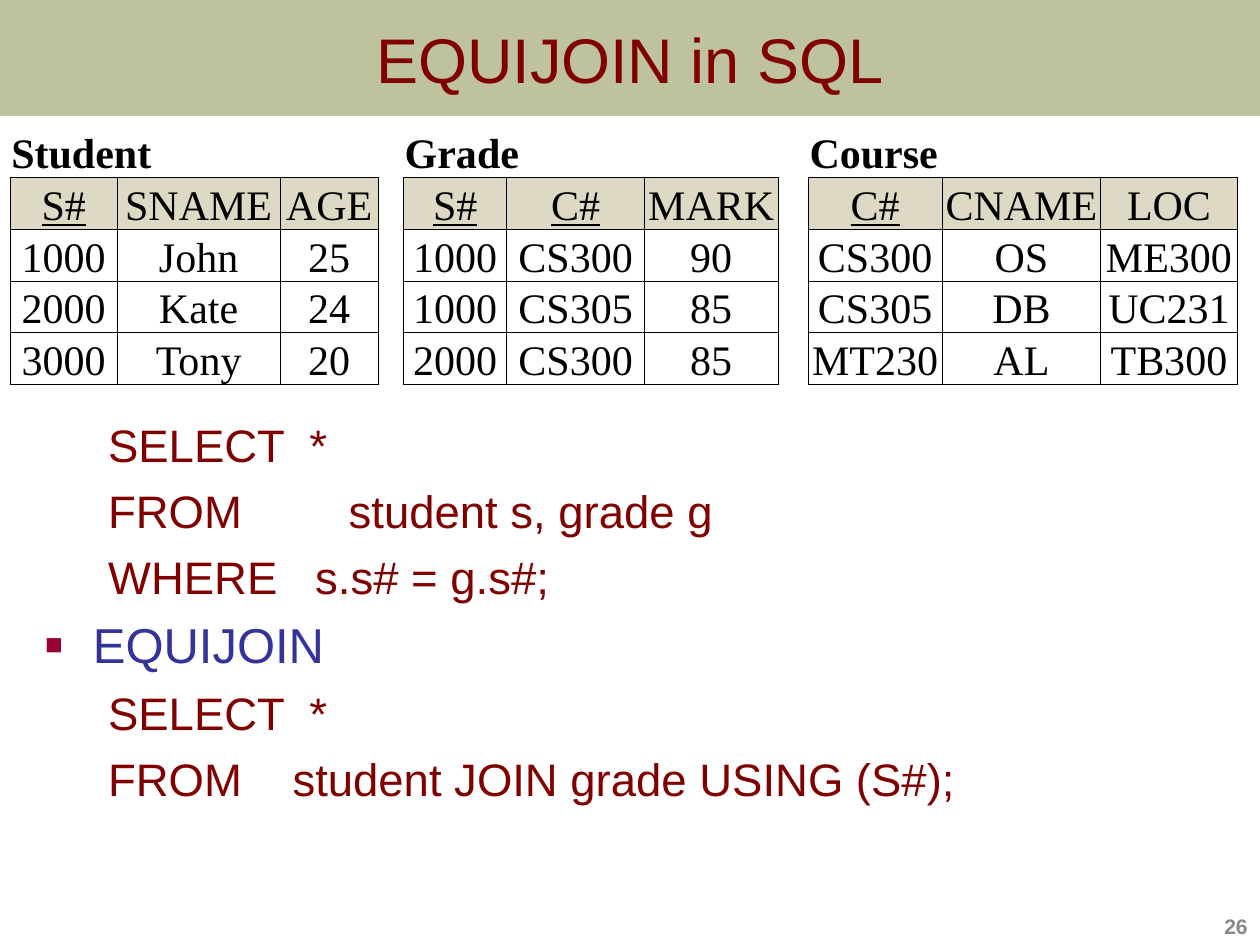
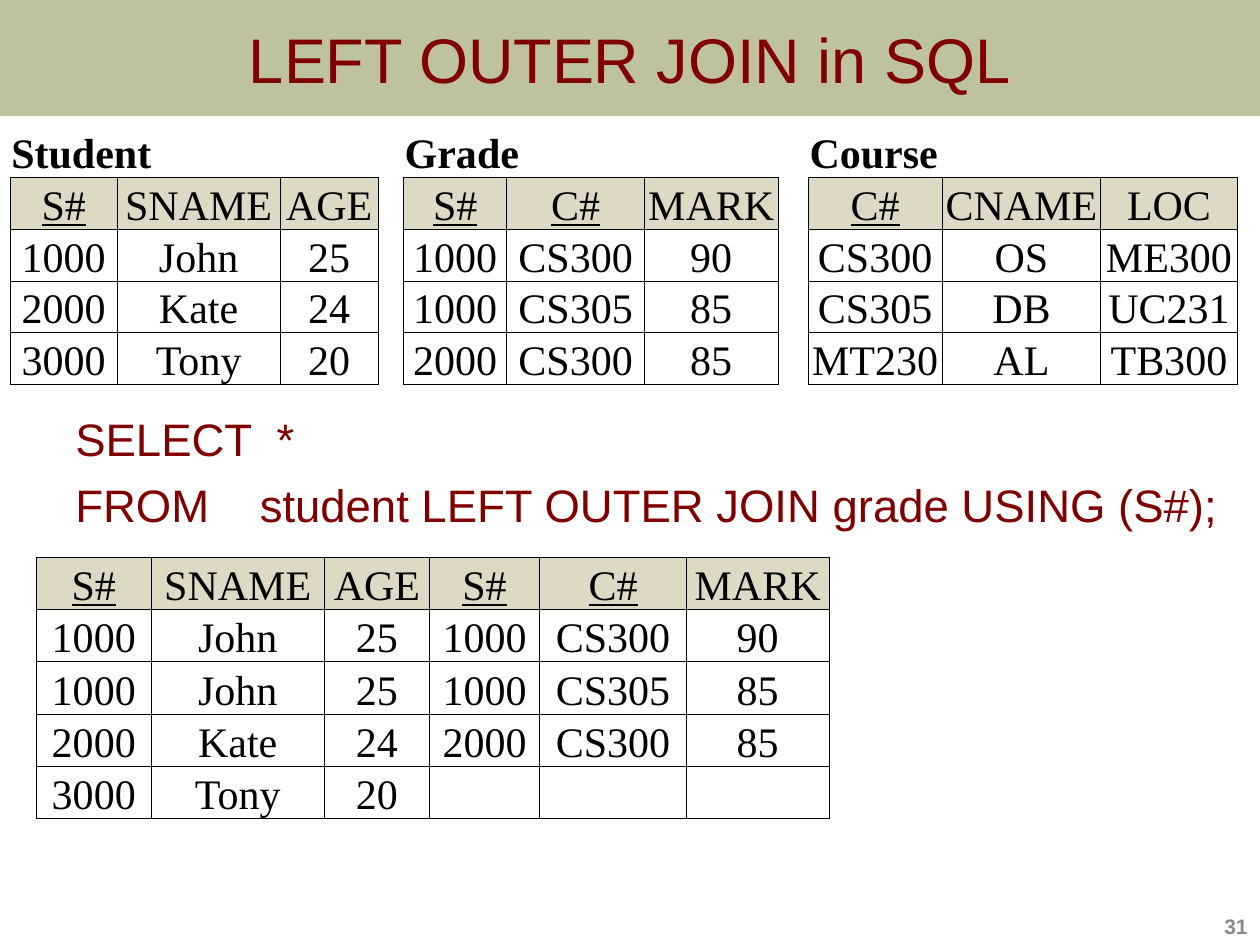
import dataclasses

import lxml.etree
import pptx
import pptx.dml.color
import pptx.enum.shapes
import pptx.enum.text
import pptx.oxml.ns
import pptx.util

ALIGN = pptx.enum.text.PP_ALIGN
ANCHOR = pptx.enum.text.MSO_ANCHOR
GRID_COLUMNS, GRID_ROWS = 100, 75
SLIDE_WIDTH, SLIDE_HEIGHT = pptx.util.Inches(10), pptx.util.Inches(7.5)


@dataclasses.dataclass(frozen=True)
class Theme:
    band: str = "6E7524"
    band_opacity: int = 44
    code: str = "800000"
    term: str = "333399"
    bullet: str = "990033"
    page: str = "898989"
    ink: str = "000000"
    header: str = "DDD9C4"
    paper: str = "FFFFFF"
    sans: str = "Arial"
    serif: str = "Times New Roman"
    title_size: int = 36
    term_size: int = 28
    code_size: int = 26
    table_size: int = 24
    page_size: int = 12
    paragraph_gap: float = 6.5
    border: float = 0.5


@dataclasses.dataclass(frozen=True)
class Box:
    left: float
    top: float
    width: float
    height: float

    def inside(self, left, top, width, height):
        return Box(self.left + left, self.top + top, width, height)

    def lengths(self):
        return across(self.left), down(self.top), across(self.width), down(self.height)


@dataclasses.dataclass(frozen=True)
class Relation:
    name: str
    widths: tuple
    rows: tuple


THEME = Theme()
PAGE = Box(0, 0, GRID_COLUMNS, GRID_ROWS)
STUDENT = Relation("Student", (8.5, 12.9, 7.8), (
    ("S#", "SNAME", "AGE"),
    ("1000", "John", "25"),
    ("2000", "Kate", "24"),
    ("3000", "Tony", "20"),
))
GRADE = Relation("Grade", (8.2, 10.9, 10.6), (
    ("S#", "C#", "MARK"),
    ("1000", "CS300", "90"),
    ("1000", "CS305", "85"),
    ("2000", "CS300", "85"),
))
COURSE = Relation("Course", (10.6, 12.6, 10.8), (
    ("C#", "CNAME", "LOC"),
    ("CS300", "OS", "ME300"),
    ("CS305", "DB", "UC231"),
    ("MT230", "AL", "TB300"),
))
GUTTERS = (2, 2.4)
EQUIJOIN_LINES = (
    "SELECT  *",
    "FROM    \t student s, grade g",
    "WHERE   s.s# = g.s#;",
    "EQUIJOIN",
    "SELECT  *",
    "FROM    student JOIN grade USING (S#);",
)
OUTER_JOIN_LINES = (
    "SELECT  *",
    "FROM    student LEFT OUTER JOIN grade USING (S#);",
)


def across(columns):
    return round(SLIDE_WIDTH * columns / GRID_COLUMNS)


def down(rows):
    return round(SLIDE_HEIGHT * rows / GRID_ROWS)


def color(value):
    return pptx.dml.color.RGBColor.from_string(value)


def add_element(parent, tag, **attributes):
    return lxml.etree.SubElement(parent, pptx.oxml.ns.qn(tag), attributes)


def write_text(paragraph, text, *, size, ink, font=THEME.sans, align=ALIGN.LEFT,
               bold=False, underline=False, space_before=0):
    paragraph.alignment = align
    paragraph.space_before = pptx.util.Pt(space_before)
    if text:
        run = paragraph.add_run()
        run.text = text
        run.font.name = font
        run.font.size = pptx.util.Pt(size)
        run.font.bold = bold
        run.font.underline = underline
        run.font.color.rgb = color(ink)


def add_text_box(slide, box, anchor):
    frame = slide.shapes.add_textbox(*box.lengths()).text_frame
    frame.word_wrap = True
    frame.vertical_anchor = anchor
    return frame


def add_title_band(slide, box, title):
    band = slide.shapes.add_shape(pptx.enum.shapes.MSO_SHAPE.RECTANGLE, *box.lengths())
    band.shadow.inherit = False
    band.line.fill.background()
    band.fill.solid()
    band.fill.fore_color.rgb = color(THEME.band)
    fill_color = band.fill._xPr.find(".//" + pptx.oxml.ns.qn("a:srgbClr"))
    add_element(fill_color, "a:alpha", val=str(THEME.band_opacity * 1000))
    band.text_frame.vertical_anchor = ANCHOR.MIDDLE
    write_text(band.text_frame.paragraphs[0], title, size=THEME.title_size,
               ink=THEME.code, align=ALIGN.CENTER)


def add_page_number(slide, box, number):
    frame = add_text_box(slide, box, ANCHOR.BOTTOM)
    write_text(frame.paragraphs[0], str(number), size=THEME.page_size,
               ink=THEME.page, align=ALIGN.RIGHT, bold=True)


def set_indent(paragraph, margin, hanging):
    properties = paragraph._p.get_or_add_pPr()
    properties.set("marL", str(across(margin)))
    properties.set("indent", str(-across(hanging)))
    return properties


def add_query(slide, box, lines):
    frame = add_text_box(slide, box, ANCHOR.TOP)
    frame.margin_right = 0
    frame.margin_top = down(0.9)
    for index, line in enumerate(lines):
        paragraph = frame.paragraphs[0] if index == 0 else frame.add_paragraph()
        is_term = line == "EQUIJOIN"
        write_text(paragraph, line,
                   size=THEME.term_size if is_term else THEME.code_size,
                   ink=THEME.term if is_term else THEME.code,
                   space_before=THEME.paragraph_gap if index else 0)
        if is_term:
            properties = set_indent(paragraph, 3.8, 3.8)
            bullet_color = add_element(properties, "a:buClr")
            add_element(bullet_color, "a:srgbClr", val=THEME.bullet)
            add_element(properties, "a:buSzPct", val="60000")
            add_element(properties, "a:buFont", typeface=THEME.sans)
            add_element(properties, "a:buChar", char="■")
        else:
            add_element(set_indent(paragraph, 8.1, 3.1), "a:buNone")


def style_cell(cell, sides="LRTB", fill=THEME.paper):
    properties = cell._tc.get_or_add_tcPr()
    for side in "LRTB":
        line = add_element(properties, "a:ln" + side,
                           w=str(pptx.util.Pt(THEME.border)))
        if side in sides:
            line_fill = add_element(line, "a:solidFill")
            add_element(line_fill, "a:srgbClr", val=THEME.ink)
        else:
            add_element(line, "a:noFill")
    cell.fill.solid()
    cell.fill.fore_color.rgb = color(fill)
    cell.vertical_anchor = ANCHOR.BOTTOM
    cell.margin_left = cell.margin_right = across(0.1)
    cell.margin_top, cell.margin_bottom = down(0.1), 0


def add_grid(slide, box, widths, row_count):
    table = slide.shapes.add_table(row_count, len(widths), *box.lengths()).table
    table.first_row = table.horz_banding = False
    for column, width in zip(table.columns, widths):
        column.width = across(box.width * width / sum(widths))
    for row in table.rows:
        row.height = down(box.height / row_count)
    return table


def fill_relation(table, top, left, rows):
    for row_index, row in enumerate(rows):
        for column_index, text in enumerate(row):
            is_header = row_index == 0
            cell = table.cell(top + row_index, left + column_index)
            style_cell(cell, fill=THEME.header if is_header else THEME.paper)
            write_text(cell.text_frame.paragraphs[0], text, size=THEME.table_size,
                       ink=THEME.ink, font=THEME.serif, align=ALIGN.CENTER,
                       underline=is_header and text.endswith("#"))


def add_schema(slide, box):
    relations = (STUDENT, GRADE, COURSE)
    widths = list(STUDENT.widths)
    for gutter, relation in zip(GUTTERS, relations[1:]):
        widths += [gutter, *relation.widths]
    row_count = len(STUDENT.rows) + 1
    table = add_grid(slide, box, widths, row_count)
    left = 0
    for relation in relations:
        if left:
            for row_index in range(row_count):
                style_cell(table.cell(row_index, left - 1), "LR" if row_index else "")
        last = left + len(relation.widths) - 1
        for column_index in range(left, last + 1):
            style_cell(table.cell(0, column_index), "B")
        heading = table.cell(0, left)
        heading.merge(table.cell(0, last))
        write_text(heading.text_frame.paragraphs[0], relation.name,
                   size=THEME.table_size, ink=THEME.ink, font=THEME.serif, bold=True)
        fill_relation(table, 1, left, relation.rows)
        left = last + 2


def left_outer_join(first, second):
    rows = [first.rows[0] + second.rows[0]]
    blank = ("",) * len(second.widths)
    for row in first.rows[1:]:
        matches = [other for other in second.rows[1:] if other[0] == row[0]]
        rows += [row + match for match in matches or [blank]]
    return rows


def add_join_result(slide, box):
    rows = left_outer_join(STUDENT, GRADE)
    table = add_grid(slide, box, STUDENT.widths + GRADE.widths, len(rows))
    fill_relation(table, 0, 0, rows)


def add_base_slide(presentation, box, title, number):
    slide = presentation.slides.add_slide(presentation.slide_layouts[6])
    add_title_band(slide, box.inside(0, 0, box.width, 9.2), title)
    add_page_number(slide, box.inside(79.2, 70, 20.8, 5), number)
    return slide


def add_equijoin_slide(presentation, box):
    slide = add_base_slide(presentation, box, "EQUIJOIN in SQL", 26)
    add_query(slide, box.inside(2.6, 32.2, 90.7, 31.6), EQUIJOIN_LINES)
    add_schema(slide, box.inside(0.8, 10, 97.4, 19))


def add_outer_join_slide(presentation, box):
    slide = add_base_slide(presentation, box, "LEFT OUTER JOIN in SQL", 31)
    add_query(slide, box.inside(0, 31.7, box.width, 10.2), OUTER_JOIN_LINES)
    add_join_result(slide, box.inside(2.9, 44.2, 62.9, 20.8))
    add_schema(slide, box.inside(0.8, 10, 97.4, 19))


def main():
    presentation = pptx.Presentation()
    presentation.slide_width = SLIDE_WIDTH
    presentation.slide_height = SLIDE_HEIGHT
    add_equijoin_slide(presentation, PAGE)
    add_outer_join_slide(presentation, PAGE)
    presentation.save("out.pptx")


if __name__ == "__main__":
    main()
